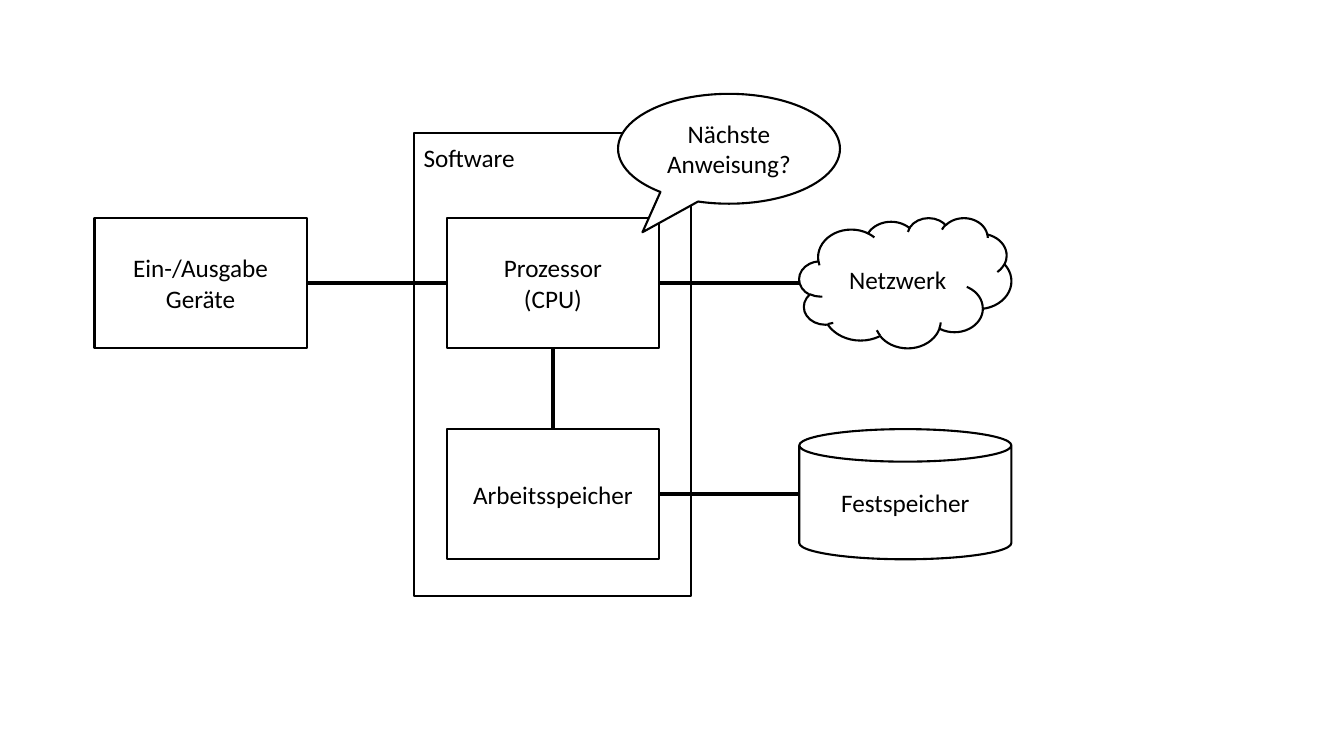
from dataclasses import dataclass

from pptx import Presentation
from pptx.dml.color import RGBColor
from pptx.enum.shapes import MSO_CONNECTOR, MSO_SHAPE
from pptx.enum.text import MSO_ANCHOR, MSO_AUTO_SIZE, PP_ALIGN
from pptx.oxml.ns import qn
from pptx.util import Pt


@dataclass(frozen=True)
class Theme:
    """Colours, type and line widths, in points."""
    ink: RGBColor = RGBColor(0, 0, 0)
    paper: RGBColor = RGBColor(255, 255, 255)
    font: str = "Calibri"
    size: float = 18
    outline: float = 1.5
    link: float = 3


class Diagram:
    """Draws the elements of a block diagram on one page."""

    def __init__(self, page, theme):
        """Keep the page and its theme."""
        self.page = page
        self.theme = theme

    def set_text(self, frame, text, align):
        """Fill a text frame; newline parts paragraphs, \\v breaks a line."""
        frame.text = text
        for para in frame.paragraphs:
            para.alignment = align
            para.font.name = self.theme.font
            para.font.size = Pt(self.theme.size)
            para.font.color.rgb = self.theme.ink

    def shape(self, kind, left, top, width, height, text="", fill=None):
        """Add an outlined preset shape with centred text."""
        box = self.page.shapes.add_shape(
            kind, Pt(left), Pt(top), Pt(width), Pt(height))
        box.shadow.inherit = False
        if fill is None:
            box.fill.background()
        else:
            box.fill.solid()
            box.fill.fore_color.rgb = fill
        box.line.color.rgb = self.theme.ink
        box.line.width = Pt(self.theme.outline)
        if text:
            box.text_frame.vertical_anchor = MSO_ANCHOR.MIDDLE
            self.set_text(box.text_frame, text, PP_ALIGN.CENTER)
        return box

    def label(self, left, top, width, height, text):
        """Add a left-aligned, unwrapped text box."""
        box = self.page.shapes.add_textbox(
            Pt(left), Pt(top), Pt(width), Pt(height))
        box.text_frame.word_wrap = False
        box.text_frame.auto_size = MSO_AUTO_SIZE.SHAPE_TO_FIT_TEXT
        self.set_text(box.text_frame, text, PP_ALIGN.LEFT)

    def link(self, start, end):
        """Add a thick straight line between two (x, y) points."""
        line = self.page.shapes.add_connector(
            MSO_CONNECTOR.STRAIGHT, *(Pt(value) for value in (*start, *end)))
        line.line.color.rgb = self.theme.ink
        line.line.width = Pt(self.theme.link)
        properties = line._element.spPr
        properties.append(properties.makeelement(qn("a:effectLst"), {}))


NODE_WIDTH, NODE_HEIGHT = 151.5, 93
COLUMNS = [67.5 + 251.7 * index for index in range(3)]
ROWS = [155.5 + 151 * index for index in range(2)]

# kind, column, row, text
NODES = [
    (MSO_SHAPE.RECTANGLE, 0, 0, "Ein-/Ausgabe\vGeräte"),
    (MSO_SHAPE.RECTANGLE, 1, 0, "Prozessor\n(CPU)"),
    (MSO_SHAPE.RECTANGLE, 1, 1, "Arbeitsspeicher"),
    (MSO_SHAPE.CLOUD, 2, 0, "Netzwerk"),
    (MSO_SHAPE.CAN, 2, 1, "Festspeicher"),
]
# (column, row) of the node to the left of each horizontal link
LINKED_RIGHT = [(0, 0), (1, 0), (1, 1)]


def build():
    """Build the computer architecture page and save it."""
    deck = Presentation()
    deck.slide_width, deck.slide_height = Pt(960), Pt(540)
    theme = Theme()
    diagram = Diagram(deck.slides.add_slide(deck.slide_layouts[6]), theme)

    for kind, column, row, text in NODES:
        diagram.shape(kind, COLUMNS[column], ROWS[row],
                      NODE_WIDTH, NODE_HEIGHT, text)

    for column, row in LINKED_RIGHT:
        middle = ROWS[row] + NODE_HEIGHT / 2
        diagram.link((COLUMNS[column] + NODE_WIDTH, middle),
                     (COLUMNS[column + 1], middle))
    center = COLUMNS[1] + NODE_WIDTH / 2
    diagram.link((center, ROWS[0] + NODE_HEIGHT), (center, ROWS[1]))

    diagram.shape(MSO_SHAPE.RECTANGLE, 295.5, 95, 198, 331)
    diagram.label(295.5, 98, 80.5, 29, "Software")
    callout = diagram.shape(MSO_SHAPE.OVAL_CALLOUT, 441.5, 67, 158.5, 78.5,
                            "Nächste Anweisung?", theme.paper)
    callout.adjustments[0] = -0.39
    callout.adjustments[1] = 0.76

    deck.save("out.pptx")


build()
